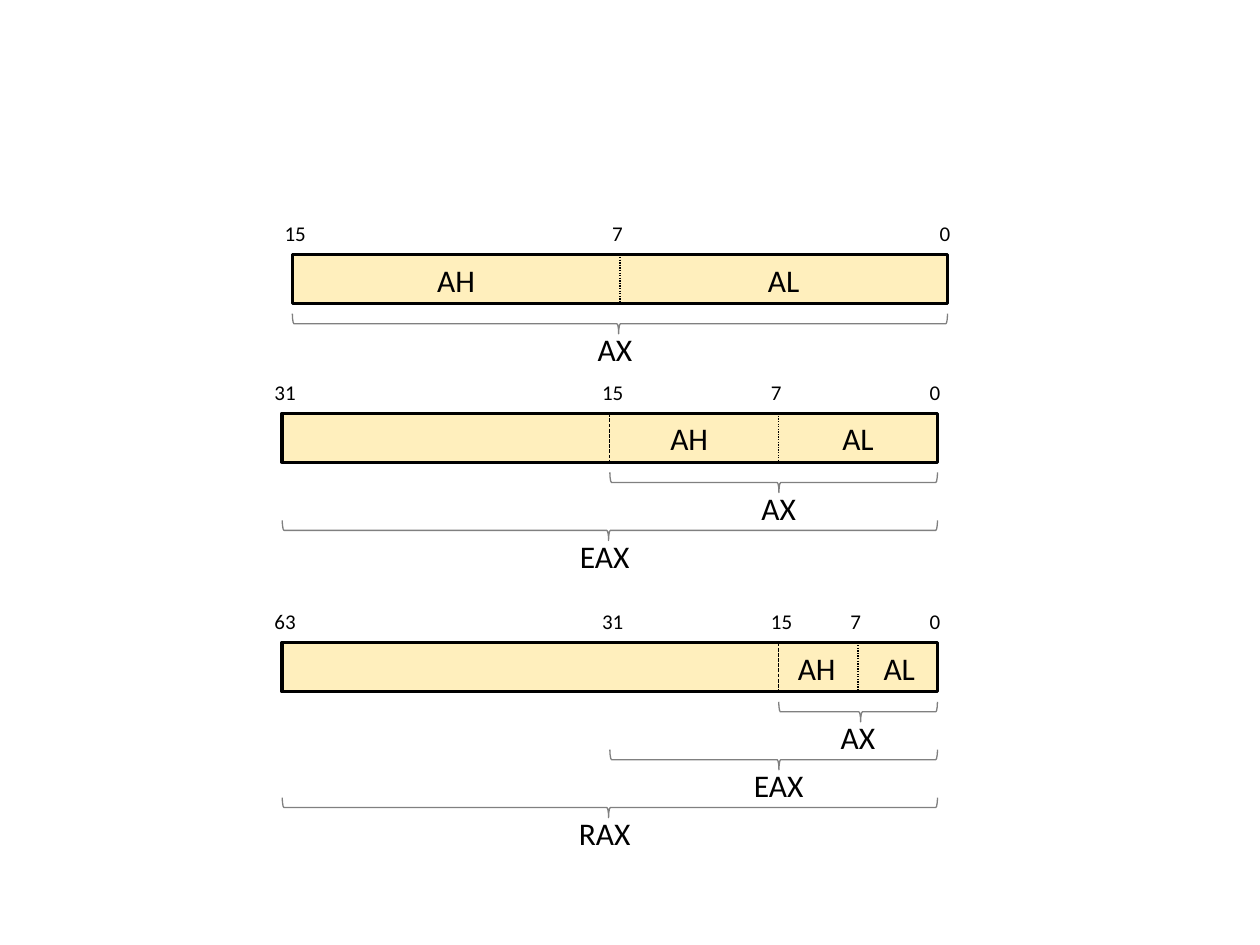
from dataclasses import dataclass

from lxml.etree import SubElement
from pptx import Presentation
from pptx.dml.color import RGBColor
from pptx.enum.dml import MSO_LINE
from pptx.enum.shapes import MSO_CONNECTOR, MSO_SHAPE
from pptx.enum.text import MSO_AUTO_SIZE, PP_ALIGN
from pptx.oxml.ns import qn
from pptx.util import Inches, Pt


@dataclass(frozen=True)
class Theme:
    font: str = "Calibri"
    ink: RGBColor = RGBColor(0, 0, 0)
    cell: RGBColor = RGBColor(0xFF, 0xEF, 0xBD)
    brace: RGBColor = RGBColor(0x80, 0x80, 0x80)
    bit_size: int = 12
    name_size: int = 18
    frame_line: float = 2
    thin_line: float = 0.75


def apply(target, values):
    for name, value in values.items():
        setattr(target, name, value)


class RegisterSlide:
    def __init__(self, page, theme):
        self.page = page
        self.theme = theme

    def outline(self, shape, color, width):
        shape.line.color.rgb = color
        shape.line.width = Pt(width)

    def text(self, words, left, top, width, height, size, align):
        box = self.page.shapes.add_textbox(
            Inches(left), Inches(top), Inches(width), Inches(height))
        apply(box.text_frame, {"word_wrap": True,
                               "auto_size": MSO_AUTO_SIZE.SHAPE_TO_FIT_TEXT})
        para = box.text_frame.paragraphs[0]
        para.alignment = align
        span = para.add_run()
        span.text = words
        apply(span.font, {"name": self.theme.font, "size": Pt(size)})
        span.font.color.rgb = self.theme.ink

    def frame(self, left, top):
        bar = self.page.shapes.add_shape(
            MSO_SHAPE.RECTANGLE, Inches(left), Inches(top),
            Inches(BAR_WIDTH), Inches(BAR_HEIGHT))
        bar.shadow.inherit = False
        bar.fill.solid()
        bar.fill.fore_color.rgb = self.theme.cell
        self.outline(bar, self.theme.ink, self.theme.frame_line)

    def divider(self, x, top, dash):
        line = self.page.shapes.add_connector(
            MSO_CONNECTOR.STRAIGHT, Inches(x), Inches(top),
            Inches(x), Inches(top + BAR_HEIGHT))
        self.outline(line, self.theme.ink, self.theme.thin_line)
        line.line.dash_style = dash
        SubElement(line._element.spPr, qn("a:effectLst"))

    def bit(self, number, x, top):
        self.text(str(number), x - 0.16, top - 0.32, 0.39, 0.3,
                  self.theme.bit_size, PP_ALIGN.LEFT)

    def name(self, words, left, top, width, align=PP_ALIGN.CENTER):
        self.text(words, left, top, width, 0.4, self.theme.name_size, align)

    def brace(self, words, left, middle, reach):
        offset, width, tip, shift = reach
        center = left + offset + width / 2
        # A right brace turned a quarter opens upwards
        shape = self.page.shapes.add_shape(
            MSO_SHAPE.RIGHT_BRACE, Inches(center - BRACE_DEPTH / 2),
            Inches(middle - width / 2), Inches(BRACE_DEPTH), Inches(width))
        shape.rotation = 90
        shape.adjustments[0] = 0.083
        shape.adjustments[1] = tip
        shape.shadow.inherit = False
        shape.fill.background()
        self.outline(shape, self.theme.brace, self.theme.thin_line)
        self.name(words, left + offset + shift, middle, width)

    def register(self, left, top, bits, dividers, cells, braces):
        self.frame(left, top)
        for x, dash in dividers:
            self.divider(left + x, top, dash)
        for number, x in bits:
            self.bit(number, left + x, top)
        for words, x, width, align in cells:
            self.name(words, left + x, top, width, align)
        for level, (words, reach) in enumerate(braces):
            self.brace(words, left, top + 0.55 + 0.38 * level, reach)


# Shared measures: positions are counted from the left end of a register
BAR_WIDTH, BAR_HEIGHT, BRACE_DEPTH = 5.2, 0.39, 0.16
HALF, QUARTER, EIGHTH = 2.6, 3.94, 4.57
DOT, DASH = MSO_LINE.ROUND_DOT, MSO_LINE.SQUARE_DOT
CENTER, RIGHT = PP_ALIGN.CENTER, PP_ALIGN.RIGHT

# Brace reach: offset, width, place of the tip, shift of the label
WHOLE_REACH = (0, BAR_WIDTH, 0.502, -0.04)
HALF_REACH = (HALF, 2.6, 0.484, 0.04)
QUARTER_REACH = (QUARTER, 1.26, 0.484, 0)

REGISTERS = [
    # 16 bits
    dict(left=2.32, top=2.02,
         bits=[(15, 0), (7, HALF), (0, BAR_WIDTH)],
         dividers=[(HALF, DOT)],
         cells=[("AH", 0, 2.6, CENTER), ("AL", HALF, 2.6, CENTER)],
         braces=[("AX", WHOLE_REACH)]),
    # 32 bits
    dict(left=2.24, top=3.28,
         bits=[(31, 0), (15, HALF), (7, QUARTER), (0, BAR_WIDTH)],
         dividers=[(HALF, DASH), (QUARTER, DOT)],
         cells=[("AH", HALF, 1.26, CENTER), ("AL", QUARTER, 1.26, CENTER)],
         braces=[("AX", HALF_REACH), ("EAX", WHOLE_REACH)]),
    # 64 bits
    dict(left=2.24, top=5.1,
         bits=[(63, 0), (31, HALF), (15, QUARTER), (7, EIGHTH), (0, BAR_WIDTH)],
         dividers=[(QUARTER, DASH), (EIGHTH, DOT)],
         cells=[("AH", QUARTER, 0.55, RIGHT), ("AL", EIGHTH, 0.55, RIGHT)],
         braces=[("AX", QUARTER_REACH), ("EAX", HALF_REACH),
                 ("RAX", WHOLE_REACH)]),
]

deck = Presentation()
apply(deck, {"slide_width": Inches(10), "slide_height": Inches(7.5)})
slide = RegisterSlide(deck.slides.add_slide(deck.slide_layouts[6]), Theme())
for register in REGISTERS:
    slide.register(**register)
deck.save("out.pptx")
